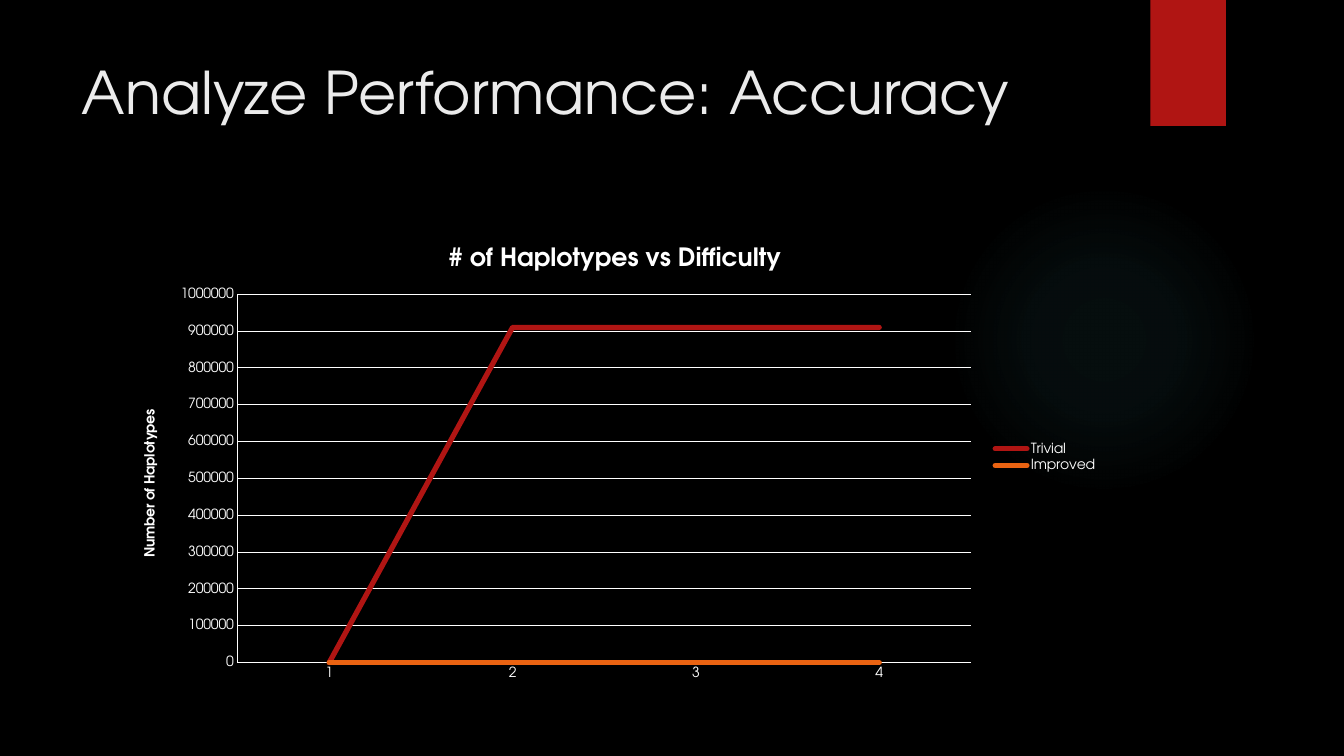
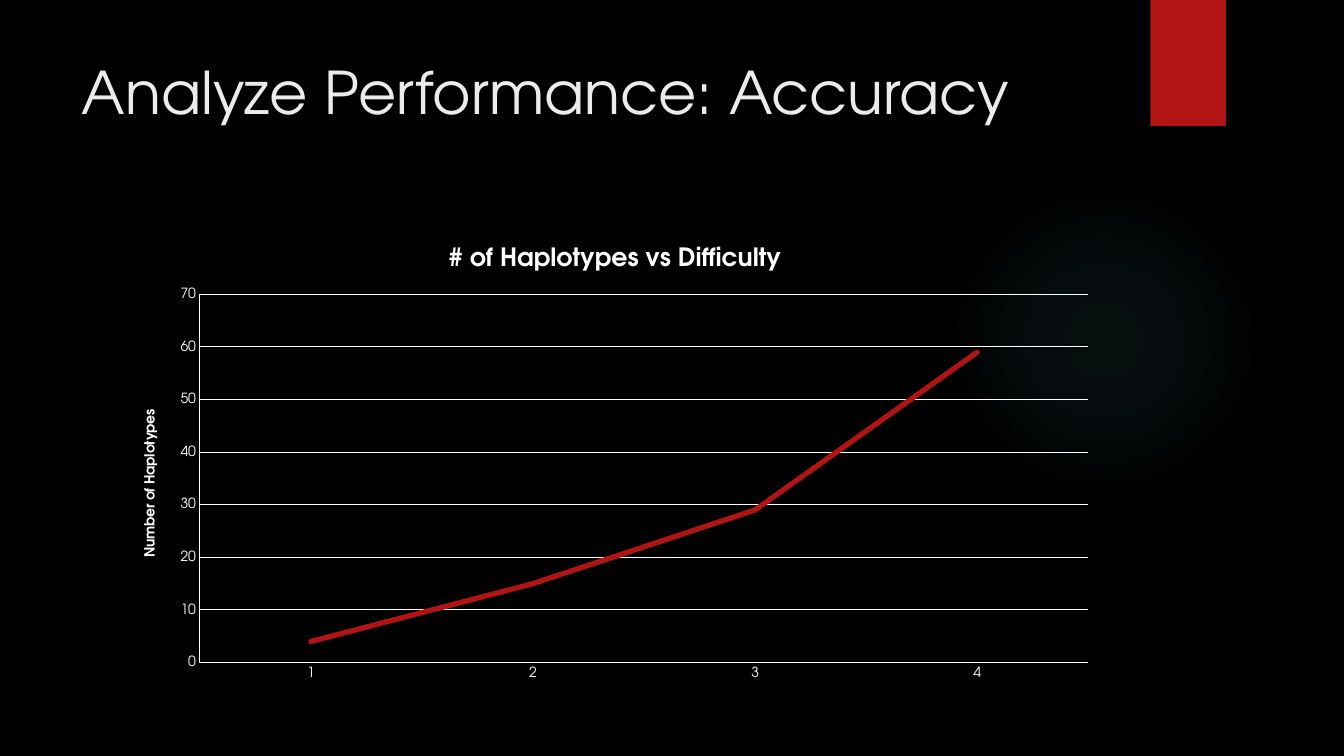
"""Build two slides charting haplotype counts against difficulty."""
from lxml import etree
from pptx import Presentation
from pptx.chart import data
from pptx.dml.color import RGBColor
from pptx.enum import chart as ch, shapes, text
from pptx.util import Inches, Pt

BLACK = RGBColor(0x00, 0x00, 0x00)
WHITE = RGBColor(0xFF, 0xFF, 0xFF)
PALE = RGBColor(0xEB, 0xEB, 0xEB)
RED = RGBColor(0xB0, 0x15, 0x13)
ORANGE = RGBColor(0xEA, 0x63, 0x12)
TEAL = RGBColor(0x50, 0xB9, 0xC1)
FONT = "TeX Gyre Adventor"
NS = "http://schemas.openxmlformats.org/drawingml/2006/main"


def write(tf, words, size, color, bold=False, align=None):
    tf.text = words
    p = tf.paragraphs[0]
    p.alignment = align
    font = p.runs[0].font
    font.name, font.size, font.bold = FONT, Pt(size), bold
    font.color.rgb = color


prs = Presentation()
prs.slide_width, prs.slide_height = Inches(13.33), Inches(7.5)

layout = prs.slide_layouts[5]
layout.background.fill.solid()
layout.background.fill.fore_color.rgb = BLACK
for ph in list(layout.placeholders):
    if ph.placeholder_format.type != shapes.PP_PLACEHOLDER.TITLE:
        ph.element.getparent().remove(ph.element)
    else:
        ph.left, ph.top = Inches(0.71), Inches(0.5)
        ph.width, ph.height = Inches(10.29), Inches(1.53)
        ph.text_frame.vertical_anchor = text.MSO_ANCHOR.TOP

charts = [
    [("Trivial", (0, 910000, 910000, 910000), RED), ("Improved", (0, 0, 0, 0), ORANGE)],
    [("Series 1", (4, 15, 29, 59), RED)],
]
slides = [prs.slides.add_slide(layout) for _ in charts]

glow = slides[0].shapes.add_shape(
    shapes.MSO_SHAPE.OVAL, Inches(9.41), Inches(1.83), Inches(3.08), Inches(3.08))
stops = "".join(
    f'<a:gs pos="{pos * 1000}"><a:srgbClr val="{TEAL}"><a:alpha val="{alpha * 1000}"/></a:srgbClr></a:gs>'
    for pos, alpha in [(0, 7), (36, 6), (69, 0)])
glow.element.spPr.insert(2, etree.fromstring(
    f'<a:gradFill xmlns:a="{NS}" rotWithShape="1"><a:gsLst>{stops}</a:gsLst><a:path path="circle">'
    '<a:fillToRect l="50000" t="50000" r="50000" b="50000"/></a:path></a:gradFill>'))
ribbon = slides[0].shapes.add_shape(
    shapes.MSO_SHAPE.RECTANGLE, Inches(11.41), 0, Inches(0.75), Inches(1.25))
ribbon.fill.solid()
ribbon.fill.fore_color.rgb = RED
for i, sp in enumerate((glow, ribbon)):
    sp.line.fill.background()
    sp.shadow.inherit = False
    layout.shapes.element.insert(2 + i, sp.element)

for s, series in zip(slides, charts):
    write(s.shapes.title.text_frame, "Analyze Performance: Accuracy", 42, PALE,
          align=text.PP_ALIGN.LEFT)

    chart_data = data.CategoryChartData()
    chart_data.categories = ["1", "2", "3", "4"]
    for name, values, _ in series:
        chart_data.add_series(name, values)
    chart = s.shapes.add_chart(
        ch.XL_CHART_TYPE.LINE, Inches(1.21), Inches(2.24), Inches(9.78), Inches(4.59),
        chart_data).chart
    chart.font.name, chart.font.size = FONT, Pt(10)
    chart.font.color.rgb = WHITE
    write(chart.chart_title.text_frame, "# of Haplotypes vs Difficulty", 18, WHITE, bold=True)
    chart.chart_title.include_in_layout = False

    val_axis = chart.value_axis
    write(val_axis.axis_title.text_frame, "Number of Haplotypes", 10, WHITE, bold=True)
    val_axis.has_major_gridlines = True
    for axis in (chart.category_axis, val_axis):
        axis.major_tick_mark = axis.minor_tick_mark = ch.XL_TICK_MARK.NONE
    for line in (chart.category_axis.format.line, val_axis.format.line,
                 val_axis.major_gridlines.format.line):
        line.color.rgb = WHITE
        line.width = Pt(0.75)

    chart.has_legend = len(series) > 1
    if chart.has_legend:
        chart.legend.position = ch.XL_LEGEND_POSITION.RIGHT
        chart.legend.include_in_layout = False

    chart.plots[0].vary_by_categories = False
    for plotted, (_, _, color) in zip(chart.plots[0].series, series):
        plotted.smooth = False
        line = plotted.format.line
        line.color.rgb = color
        line.width = Pt(3.75)
        plotted.format.line.fill
        for ln in plotted.format.element.iter(f"{{{NS}}}ln") if hasattr(plotted.format, "element") else ():
            ln.set("cap", "rnd")

prs.save("out.pptx")
